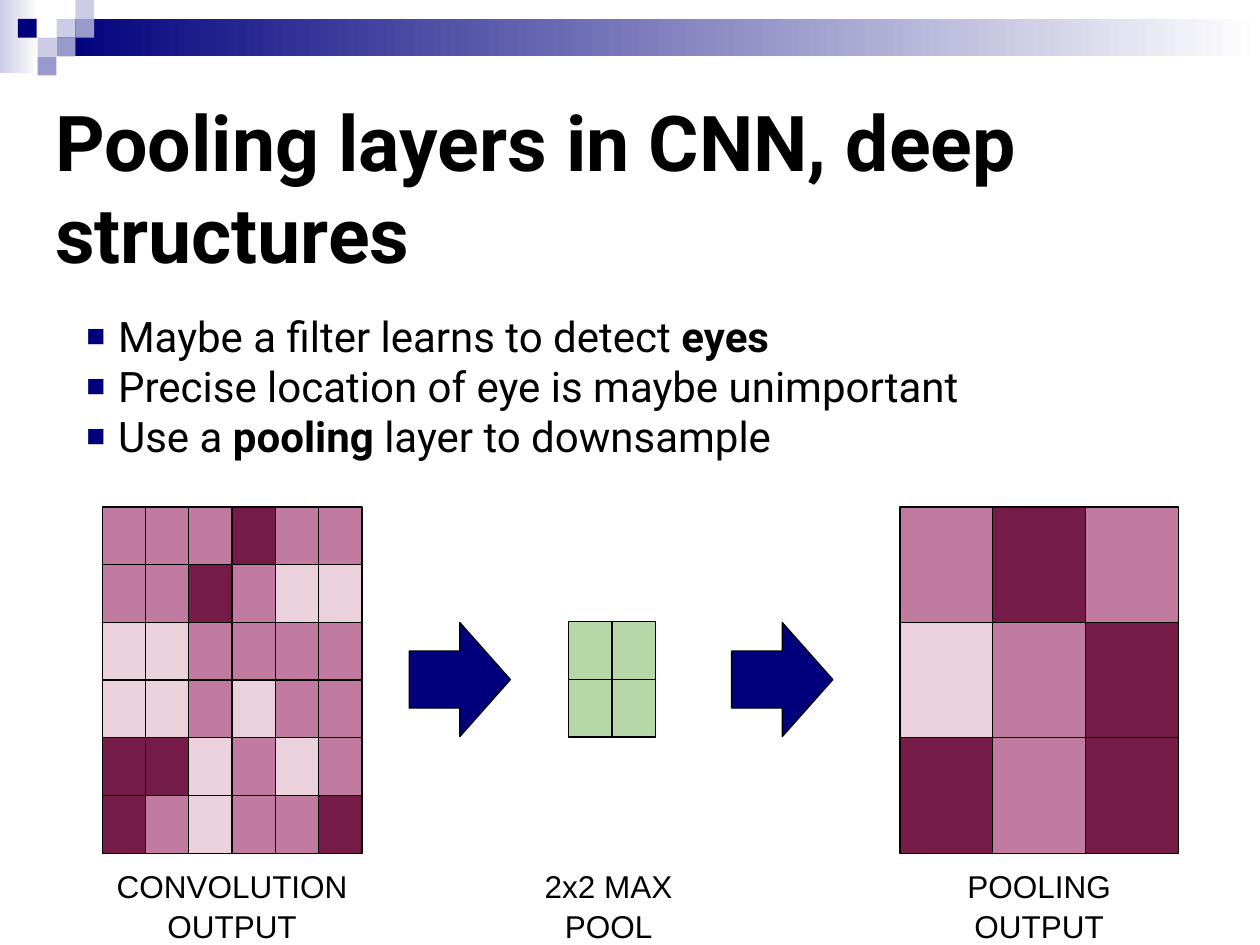
from lxml import etree
from pptx import Presentation
from pptx.dml.color import RGBColor
from pptx.enum.shapes import MSO_SHAPE
from pptx.enum.text import MSO_ANCHOR, MSO_AUTO_SIZE, PP_ALIGN
from pptx.oxml.ns import qn
from pptx.util import Cm, Pt

RECTANGLE = MSO_SHAPE.RECTANGLE
RIGHT_ARROW = MSO_SHAPE.RIGHT_ARROW
TOP = MSO_ANCHOR.TOP
NO_FIT = MSO_AUTO_SIZE.NONE
LEFT = PP_ALIGN.LEFT
CENTER = PP_ALIGN.CENTER

NAVY, LAVENDER, PERIWINKLE = "00007D", "CCCCE6", "9999CC"
BLACK, WHITE = "000000", "FFFFFF"
CELL_COLORS = {"L": "EAD1DC", "M": "C27BA0", "D": "741B47", "G": "B6D7A8"}

CONVOLUTION_ROWS = ["MMMDMM", "MMDMLL", "LLMMMM", "LLMLMM", "DDLMLM", "DMLMMD"]
FILTER_ROWS = ["GG", "GG"]
POOLED_ROWS = ["MDM", "LMD", "DMD"]

SQUARE = 0.38
HEADER_SQUARES = [
    (1.14, 0.38, LAVENDER),
    (1.52, 0, LAVENDER),
    (1.52, 0.38, PERIWINKLE),
    (0.76, 0.76, LAVENDER),
    (0.36, 0.38, NAVY),
    (1.14, 0.76, PERIWINKLE),
    (0.76, 1.14, PERIWINKLE),
]

BULLETS = [
    [("Maybe a filter learns to detect ", False), ("eyes", True)],
    [("Precise location of eye is maybe unimportant", False)],
    [("Use a ", False), ("pooling", True), (" layer to downsample", False)],
]


def color(value):
    return RGBColor.from_string(value)


def place(shape, left, top, width, height):
    shape.left, shape.top = Cm(left), Cm(top)
    shape.width, shape.height = Cm(width), Cm(height)


def prepare_frame(shape):
    frame = shape.text_frame
    frame.word_wrap = True
    frame.auto_size = NO_FIT
    frame.vertical_anchor = TOP
    frame.margin_left = frame.margin_right = Cm(0.25)
    frame.margin_top = frame.margin_bottom = Cm(0.25)
    return frame


def style_paragraph(para, font_name, size, alignment, bold=None):
    para.alignment = alignment
    para.font.name = font_name
    para.font.size = Pt(size)
    para.font.bold = bold
    para.font.color.rgb = color(BLACK)


def add_block(page, kind, left, top, width, height, fill, outlined=True):
    block = page.shapes.add_shape(kind, Cm(left), Cm(top), Cm(width), Cm(height))
    block.shadow.inherit = False
    block.fill.solid()
    block.fill.fore_color.rgb = color(fill)
    if outlined:
        block.line.color.rgb = color(BLACK)
        block.line.width = Pt(0.75)
    else:
        block.line.fill.background()
    return block


def add_fade(page, left, top, width, height, start):
    fade = add_block(page, RECTANGLE, left, top, width, height, start, False)
    fade.fill.gradient()
    fade.fill.gradient_angle = 0
    for stop, position, value in zip(fade.fill.gradient_stops, (0, 1), (start, WHITE)):
        stop.position = position
        stop.color.rgb = color(value)


def add_header(page):
    add_fade(page, 0, 0, 0.79, 1.47, LAVENDER)
    add_fade(page, 1.14, 0.38, 24.26, 0.76, NAVY)
    for left, top, fill in HEADER_SQUARES:
        add_block(page, RECTANGLE, left, top, SQUARE, SQUARE, fill, False)


def add_grid(page, rows, left, top, width, height):
    cell_width = width / len(rows[0])
    cell_height = height / len(rows)
    for row, codes in enumerate(rows):
        for column, code in enumerate(codes):
            add_block(page, RECTANGLE, left + column * cell_width,
                      top + row * cell_height, cell_width, cell_height,
                      CELL_COLORS[code])


def add_caption(page, left, width, lines):
    box = page.shapes.add_textbox(Cm(left), Cm(17.2), Cm(width), Cm(2.46))
    frame = prepare_frame(box)
    frame.text = "\n".join(lines)
    for para in frame.paragraphs:
        para.line_spacing = 1.05
        style_paragraph(para, "Arial", 18, CENTER)


def add_bullet(para):
    properties = para._p.get_or_add_pPr()
    properties.set("marL", str(Cm(1.27)))
    properties.set("indent", str(-Cm(0.64)))
    bullet_color = etree.SubElement(properties, qn("a:buClr"))
    etree.SubElement(bullet_color, qn("a:srgbClr"), val=NAVY)
    etree.SubElement(properties, qn("a:buSzPct"), val="75000")
    etree.SubElement(properties, qn("a:buChar"), char="■")


def fill_title(title):
    place(title, 0.86, 1.65, 23.67, 2.13)
    frame = prepare_frame(title)
    frame.text = "Pooling layers in CNN, deep structures"
    style_paragraph(frame.paragraphs[0], "Roboto", 44, LEFT, True)


def fill_body(body):
    place(body, 0.86, 6, 23.67, 5.51)
    frame = prepare_frame(body)
    for index, spans in enumerate(BULLETS):
        para = frame.add_paragraph() if index else frame.paragraphs[0]
        para.space_before = Pt(0)
        add_bullet(para)
        style_paragraph(para, "Roboto", 24, LEFT)
        for text, bold in spans:
            span = para.add_run()
            span.text = text
            span.font.bold = bold


def main():
    deck = Presentation()
    deck.slide_width, deck.slide_height = Cm(25.4), Cm(19.05)
    page = deck.slides.add_slide(deck.slide_layouts[1])
    add_header(page)
    fill_title(page.shapes.title)
    fill_body(page.placeholders[1])
    add_grid(page, CONVOLUTION_ROWS, 2.06, 10.22, 5.24, 6.98)
    add_caption(page, 2.06, 5.24, ["CONVOLUTION", "OUTPUT"])
    add_grid(page, FILTER_ROWS, 11.46, 12.53, 1.75, 2.33)
    add_caption(page, 9.65, 5.24, ["2x2 MAX", "POOL"])
    for left in (8.25, 14.75):
        add_block(page, RIGHT_ARROW, left, 12.55, 2.04, 2.3, NAVY)
    add_grid(page, POOLED_ROWS, 18.14, 10.22, 5.62, 6.98)
    add_caption(page, 18.14, 5.62, ["POOLING", "OUTPUT"])
    deck.save("out.pptx")


if __name__ == "__main__":
    main()
